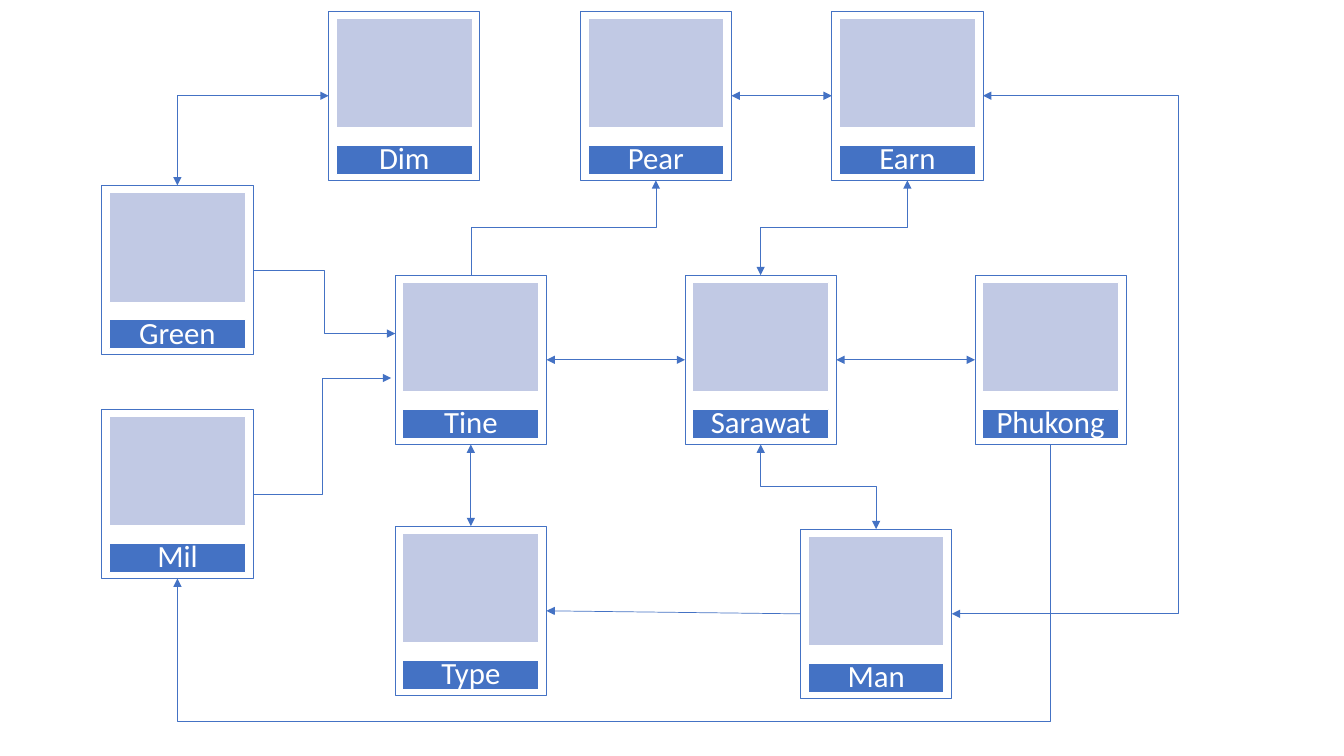
from dataclasses import dataclass

from lxml import etree
from pptx import Presentation
from pptx.dml.color import RGBColor
from pptx.enum.shapes import MSO_CONNECTOR, MSO_SHAPE
from pptx.enum.text import MSO_ANCHOR, PP_ALIGN
from pptx.oxml.ns import qn
from pptx.util import Inches, Pt

STRAIGHT, ELBOW = MSO_CONNECTOR.STRAIGHT, MSO_CONNECTOR.ELBOW
RECTANGLE = MSO_SHAPE.RECTANGLE
TOP, LEFT, BOTTOM, RIGHT = range(4)


@dataclass(frozen=True)
class Theme:
    white: RGBColor = RGBColor(0xFF, 0xFF, 0xFF)
    blue: RGBColor = RGBColor(0x44, 0x72, 0xC4)
    pale: RGBColor = RGBColor(0xC1, 0xC9, 0xE4)
    font: str = "Calibri"
    name_size: float = 22
    thin: float = 0.5
    border: float = 1


THEME = Theme()

# Grid, in inches: (first column, column step, row top)
CARD_WIDTH, CARD_HEIGHT = 1.5, 1.68
TOP_ROW = (3.26, 2.495, 0.11)
MIDDLE_ROW = (3.92, 2.875, 2.73)
TYPE_ROW = (3.92, 0, 5.22)
MAN_ROW = (7.94, 0, 5.25)
GREEN_ROW = (1.01, 0, 1.84)
MIL_ROW = (1.01, 0, 4.06)

# Cards: name, row, column; back to front
CARDS = [
    ("Man", MAN_ROW, 0),
    ("Type", TYPE_ROW, 0),
    ("Phukong", MIDDLE_ROW, 2),
    ("Tine", MIDDLE_ROW, 0),
    ("Sarawat", MIDDLE_ROW, 1),
    ("Mil", MIL_ROW, 0),
    ("Green", GREEN_ROW, 0),
    ("Dim", TOP_ROW, 0),
    ("Earn", TOP_ROW, 2),
    ("Pear", TOP_ROW, 1),
]

# Straight links: from, side, to, side, arrow at both ends
STRAIGHT_LINKS = [
    ("Pear", RIGHT, "Earn", LEFT, True),
    ("Tine", RIGHT, "Sarawat", LEFT, True),
    ("Sarawat", RIGHT, "Phukong", LEFT, True),
    ("Type", TOP, "Tine", BOTTOM, True),
    ("Man", LEFT, "Type", RIGHT, False),
]

# Bent links: from, side, to, side, arrow at both ends, lane, end shift.
# The lane is where the middle stretch runs; None puts it halfway.
BENT_LINKS = [
    ("Green", TOP, "Dim", LEFT, True, None, (0, 0)),
    ("Sarawat", BOTTOM, "Man", TOP, True, None, (0, 0)),
    ("Tine", TOP, "Pear", BOTTOM, False, None, (0, 0)),
    ("Green", RIGHT, "Tine", LEFT, False, None, (0, -0.26)),
    ("Mil", RIGHT, "Tine", LEFT, False, None, (-0.04, 0.18)),
    ("Phukong", BOTTOM, "Mil", BOTTOM, False, 7.16, (0, 0)),
    ("Sarawat", TOP, "Earn", BOTTOM, True, None, (0, 0)),
    ("Earn", RIGHT, "Man", RIGHT, True, 11.69, (0, 0)),
]


def add_box(slide, left, top, width, height, fill, line, line_width):
    shape = slide.shapes.add_shape(
        RECTANGLE, Inches(left), Inches(top), Inches(width), Inches(height))
    shape.shadow.inherit = False
    shape.fill.solid()
    shape.fill.fore_color.rgb = fill
    shape.line.color.rgb = line
    shape.line.width = Pt(line_width)
    return shape


def add_card(slide, name, left, top):
    """Draw frame, photo area and name plate; return the frame."""
    frame = add_box(slide, left, top, CARD_WIDTH, CARD_HEIGHT,
                    THEME.white, THEME.blue, THEME.thin)
    color = frame._element.spPr.find(".//" + qn("a:srgbClr"))
    etree.SubElement(color, qn("a:alpha")).set("val", "40000")

    inner_left, inner_width = left + 0.075, CARD_WIDTH - 0.15
    add_box(slide, inner_left, top + 0.07, inner_width, 1.09,
            THEME.pale, THEME.white, THEME.border)
    plate = add_box(slide, inner_left, top + 1.33, inner_width, 0.29,
                    THEME.blue, THEME.white, THEME.border)

    text_frame = plate.text_frame
    text_frame.word_wrap = True
    text_frame.vertical_anchor = MSO_ANCHOR.MIDDLE
    text_frame.margin_left = text_frame.margin_right = Inches(0.09)
    text_frame.margin_top = text_frame.margin_bottom = Inches(0.09)
    paragraph = text_frame.paragraphs[0]
    paragraph.text = name
    paragraph.alignment = PP_ALIGN.CENTER
    paragraph.line_spacing = 0.9
    paragraph.space_after = Pt(0.35 * THEME.name_size)
    paragraph.font.name = THEME.font
    paragraph.font.size = Pt(THEME.name_size)
    paragraph.font.color.rgb = THEME.white
    return frame


def side_middle(frame, side):
    x = frame.left + frame.width * {LEFT: 0, RIGHT: 1}.get(side, 0.5)
    y = frame.top + frame.height * {TOP: 0, BOTTOM: 1}.get(side, 0.5)
    return round(x), round(y)


def add_link(slide, kind, start, end, both_ends):
    connector = slide.shapes.add_connector(kind, *start, *end)
    connector.line.color.rgb = THEME.blue
    connector.line.width = Pt(THEME.thin)
    line = connector.line._get_or_add_ln()
    for tag in ("a:headEnd", "a:tailEnd") if both_ends else ("a:tailEnd",):
        etree.SubElement(line, qn(tag)).set("type", "triangle")
    etree.SubElement(connector._element.spPr, qn("a:effectLst"))
    return connector


def turn_upright(connector, start, end):
    """Make an elbow leave its start vertically by a quarter turn."""
    (x1, y1), (x2, y2) = start, end
    width, height = abs(y2 - y1), abs(x2 - x1)
    connector.left = round((x1 + x2 - width) / 2)
    connector.top = round((y1 + y2 - height) / 2)
    connector.width, connector.height = width, height
    transform = connector._element.spPr.find(qn("a:xfrm"))
    transform.set("rot", "5400000")
    transform.set("flipH", str(int(y2 < y1)))
    transform.set("flipV", str(int(x2 > x1)))


def add_bent_link(slide, frames, source, side, target, target_side,
                  both_ends, lane, shift):
    start = side_middle(frames[source], side)
    end_x, end_y = side_middle(frames[target], target_side)
    end = end_x + Inches(shift[0]), end_y + Inches(shift[1])
    connector = add_link(slide, ELBOW, start, end, both_ends)
    vertical = side in (TOP, BOTTOM)
    if vertical:
        turn_upright(connector, start, end)

    geometry = connector._element.spPr.find(qn("a:prstGeom"))
    if vertical != (target_side in (TOP, BOTTOM)):
        geometry.set("prst", "bentConnector2")
    if lane is not None:
        axis = int(vertical)
        share = (Inches(lane) - start[axis]) / (end[axis] - start[axis])
        adjustments = geometry.find(qn("a:avLst"))
        if adjustments is None:
            adjustments = etree.SubElement(geometry, qn("a:avLst"))
        guide = etree.SubElement(adjustments, qn("a:gd"))
        guide.set("name", "adj1")
        guide.set("fmla", f"val {round(share * 100000)}")


def main():
    presentation = Presentation()
    presentation.slide_width = Inches(13.33)
    presentation.slide_height = Inches(7.5)
    slide = presentation.slides.add_slide(presentation.slide_layouts[6])

    # Cards
    frames = {}
    for name, (first, step, top), column in CARDS:
        frames[name] = add_card(slide, name, first + column * step, top)

    # Links
    for source, side, target, target_side, both_ends in STRAIGHT_LINKS:
        start = side_middle(frames[source], side)
        end = side_middle(frames[target], target_side)
        connector = add_link(slide, STRAIGHT, start, end, both_ends)
        connector.begin_connect(frames[source], side)
        connector.end_connect(frames[target], target_side)
    for link in BENT_LINKS:
        add_bent_link(slide, frames, *link)

    presentation.save("out.pptx")


if __name__ == "__main__":
    main()
